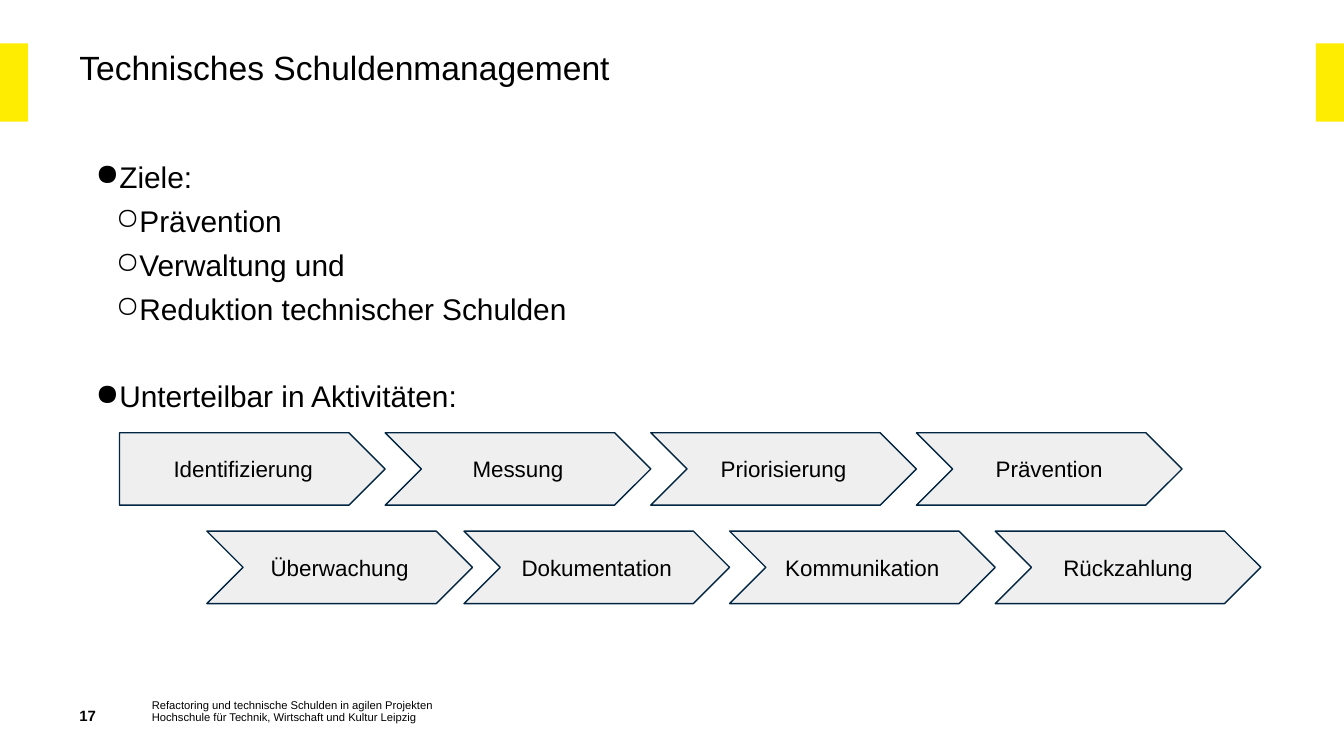
from lxml import etree
from pptx import Presentation
from pptx.dml.color import RGBColor
from pptx.enum.shapes import MSO_SHAPE
from pptx.enum.text import MSO_ANCHOR, PP_ALIGN
from pptx.oxml.ns import qn
from pptx.util import Cm, Pt

RECTANGLE = MSO_SHAPE.RECTANGLE
PENTAGON = MSO_SHAPE.PENTAGON
CHEVRON = MSO_SHAPE.CHEVRON
TOP, MIDDLE, BOTTOM = MSO_ANCHOR.TOP, MSO_ANCHOR.MIDDLE, MSO_ANCHOR.BOTTOM
CENTER = PP_ALIGN.CENTER

BLACK = RGBColor(0x00, 0x00, 0x00)
YELLOW = RGBColor(0xFF, 0xED, 0x00)
GREY = RGBColor(0xEF, 0xEF, 0xEF)
NAVY = RGBColor(0x02, 0x25, 0x41)

PAGE_WIDTH, PAGE_HEIGHT = 25.4, 14.29
MARGIN = 1.5
CONTENT_WIDTH = PAGE_WIDTH - 2 * MARGIN
STEP_WIDTH, STEP_HEIGHT = 5.02, 1.37
BULLETS = {1: ("●", 0.74), 2: ("○", 1.12)}
HANGING = 0.43

GOALS = [
    (1, "Ziele:", 3),
    (2, "Prävention", 3),
    (2, "Verwaltung und", 3),
    (2, "Reduktion technischer Schulden", 3),
    (1, "Unterteilbar in Aktivitäten:", 26.6),
]


def apply(target, values):
    for name, value in values.items():
        setattr(target, name, value)


def format_frame(frame, inset=0, anchor=TOP):
    apply(frame, {
        "word_wrap": True,
        "vertical_anchor": anchor,
        "margin_left": Cm(inset),
        "margin_right": Cm(inset),
        "margin_top": Cm(inset),
        "margin_bottom": Cm(inset),
    })


def write_span(para, text, size, bold=False):
    span = para.add_run()
    span.text = text
    apply(span.font, {"name": "Arial", "size": Pt(size), "bold": bold})
    span.font.color.rgb = BLACK


def add_text(page, area, text, size, spacing=1.0, inset=0, anchor=TOP, bold=False):
    box = page.shapes.add_textbox(*map(Cm, area))
    format_frame(box.text_frame, inset, anchor)
    para = box.text_frame.paragraphs[0]
    para.line_spacing = spacing
    write_span(para, text, size, bold)


def add_filled_shape(page, kind, area, color):
    shape = page.shapes.add_shape(kind, *map(Cm, area))
    shape.shadow.inherit = False
    shape.fill.solid()
    shape.fill.fore_color.rgb = color
    shape.line.fill.background()
    return shape


def add_header(page, area):
    left, top, width, height = area
    bar_width = 0.53
    for bar_left in (0, PAGE_WIDTH - bar_width):
        add_filled_shape(page, RECTANGLE, (bar_left, top, bar_width, height), YELLOW)
    add_text(page, area, "Technisches Schuldenmanagement", 18, spacing=1.08)


def set_bullet(para, level):
    symbol, indent = BULLETS[level]
    properties = para._p.get_or_add_pPr()
    properties.set("marL", str(Cm(indent)))
    properties.set("indent", str(-Cm(HANGING)))
    etree.SubElement(properties, qn("a:buChar")).set("char", symbol)


def add_goals(page, area):
    box = page.shapes.add_textbox(*map(Cm, area))
    frame = box.text_frame
    format_frame(frame)
    for index, (level, text, gap) in enumerate(GOALS):
        para = frame.add_paragraph() if index else frame.paragraphs[0]
        apply(para, {"line_spacing": 1.07, "space_before": Pt(gap)})
        set_bullet(para, level)
        write_span(para, text, 16)


def add_activities(page, left, top, labels, first_kind=CHEVRON):
    for index, label in enumerate(labels):
        kind = CHEVRON if index else first_kind
        area = (left + index * STEP_WIDTH, top, STEP_WIDTH, STEP_HEIGHT)
        step = add_filled_shape(page, kind, area, GREY)
        step.adjustments[0] = 0.5
        step.line.color.rgb = NAVY
        step.line.width = Pt(0.75)
        format_frame(step.text_frame, inset=0.25, anchor=MIDDLE)
        para = step.text_frame.paragraphs[0]
        para.alignment = CENTER
        write_span(para, label, 12)


def add_footer(page, area):
    left, top, width, height = area
    add_text(page, (left, top, 1.02, height), "17", 8, anchor=BOTTOM, bold=True)
    add_text(page, (left + 1.12, top, 7.7, height),
             "Refactoring und technische Schulden in agilen Projekten",
             6, spacing=1.38, inset=0.25)
    add_text(page, (left + 1.37, top + 0.51, 10.11, 0.25),
             "Hochschule für Technik, Wirtschaft und Kultur Leipzig",
             6, spacing=1.29, anchor=BOTTOM)


def main():
    deck = Presentation()
    apply(deck, {"slide_width": Cm(PAGE_WIDTH), "slide_height": Cm(PAGE_HEIGHT)})
    page = deck.slides.add_slide(deck.slide_layouts[6])
    add_header(page, (MARGIN, 0.82, CONTENT_WIDTH, 1.48))
    add_goals(page, (MARGIN, 2.95, CONTENT_WIDTH, 9.78))
    add_activities(page, 2.26, 8.18,
                   ["Identifizierung", "Messung", "Priorisierung", "Prävention"], PENTAGON)
    add_activities(page, 3.91, 10.04, ["Überwachung"])
    add_activities(page, 8.77, 10.04, ["Dokumentation", "Kommunikation", "Rückzahlung"])
    add_footer(page, (MARGIN, 12.93, CONTENT_WIDTH, 0.76))
    deck.save("out.pptx")


if __name__ == "__main__":
    main()
